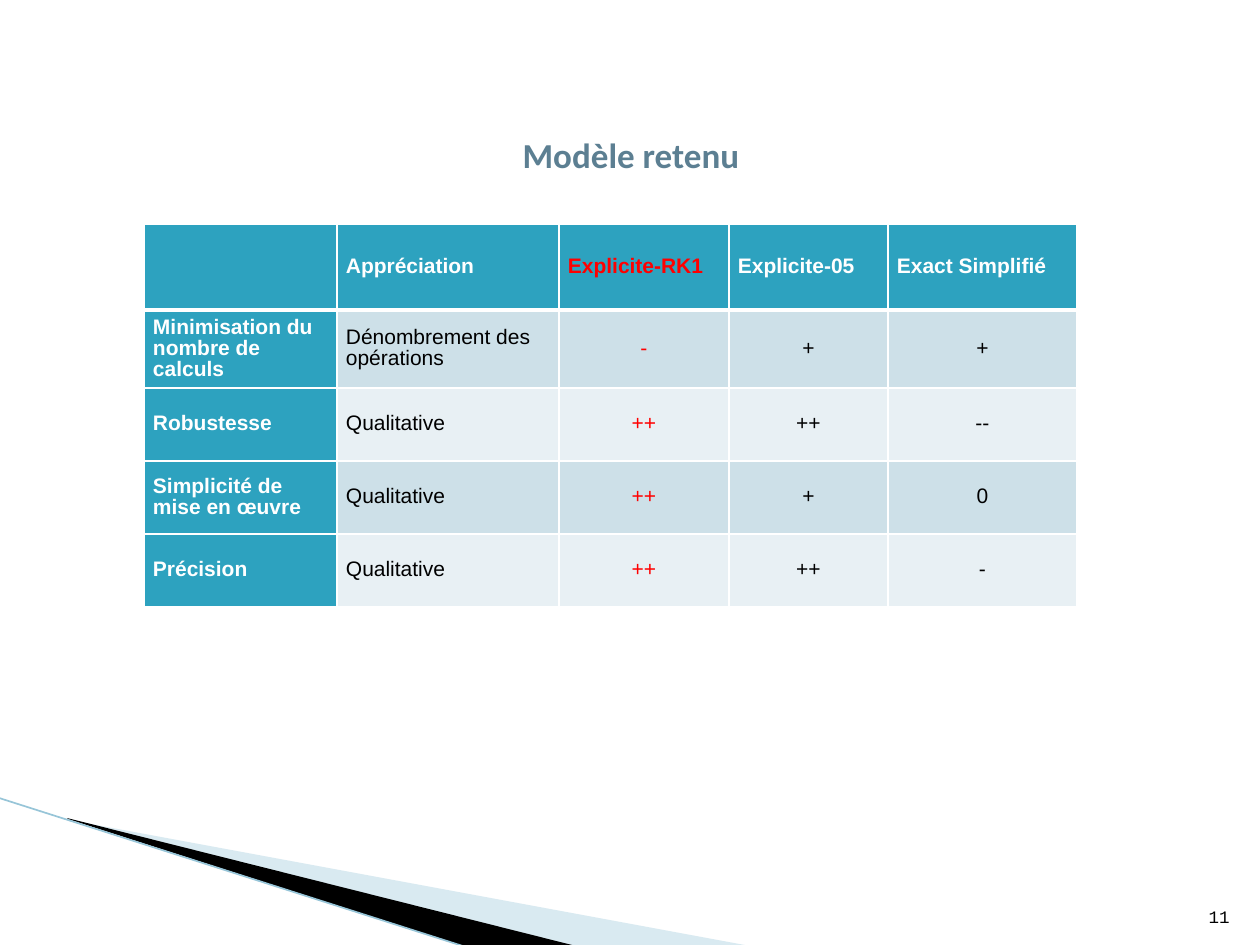
from dataclasses import dataclass

from lxml import etree
from pptx import Presentation
from pptx import util as u
from pptx.dml.color import RGBColor
from pptx.enum import shapes, text
from pptx.oxml import ns

SCALE = u.Inches(1) / 126
ALIGN = text.PP_ALIGN
ANCHOR = text.MSO_ANCHOR


@dataclass(frozen=True)
class Theme:
    title: str = "5C7F92"
    accent: str = "2DA2BF"
    bands: tuple = ("CDE0E8", "E8F0F4")
    light: str = "FFFFFF"
    dark: str = "000000"
    retained: str = "FF0000"
    wedge: str = "A0CBDC"
    edge: str = "97C5D8"
    title_size: int = 20
    table_size: int = 12
    number_size: int = 10
    title_font: str = "Calibri"
    table_font: str = "Arial"
    number_font: str = "Courier New"


def px(length):
    return u.Emu(round(length * SCALE))


def sub(parent, tag, **attributes):
    return etree.SubElement(parent, ns.qn(tag), **attributes)


class SlideBuilder:
    def __init__(self, slide, theme):
        self.slide = slide
        self.theme = theme

    def add_run(self, paragraph, words, font, size, color, bold=False):
        run = paragraph.add_run()
        run.text = words
        run.font.name = font
        run.font.size = u.Pt(size)
        run.font.bold = bold
        run.font.color.rgb = RGBColor.from_string(color)

    def add_text(self, box, words, align, anchor, **style):
        frame = self.slide.shapes.add_textbox(*map(px, box)).text_frame
        frame.word_wrap = True
        frame.vertical_anchor = anchor
        paragraph = frame.paragraphs[0]
        paragraph.alignment = align
        self.add_run(paragraph, words, **style)

    def add_wedge(self, points, color, opacity=100):
        builder = self.slide.shapes.build_freeform(*points[0], scale=SCALE)
        builder.add_line_segments(points[1:], close=True)
        shape = builder.convert_to_shape()
        shape.shadow.inherit = False
        shape.line.fill.background()
        shape.fill.solid()
        shape.fill.fore_color.rgb = RGBColor.from_string(color)
        if opacity < 100:
            rgb = shape.fill._xPr.find(".//" + ns.qn("a:srgbClr"))
            sub(rgb, "a:alpha", val=str(opacity * 1000))

    def add_line(self, start, end, color, width):
        line = self.slide.shapes.add_connector(
            shapes.MSO_CONNECTOR.STRAIGHT, *map(px, start + end))
        line.line.color.rgb = RGBColor.from_string(color)
        line.line.width = u.Pt(width)
        sub(line._element.spPr, "a:effectLst")

    def add_borders(self, cell, widths):
        properties = cell._tc.get_or_add_tcPr()
        for side, width in zip("LRTB", widths):
            border = sub(properties, f"a:ln{side}", w=str(u.Pt(width)))
            sub(sub(border, "a:solidFill"), "a:srgbClr", val=self.theme.light)

    def fill_cell(self, cell, words, row, column):
        theme = self.theme
        heading = row == 0 or column == 0
        self.add_borders(cell, (1, 1, 3 if row == 1 else 1, 3 if row == 0 else 1))
        cell.fill.solid()
        fill = theme.accent if heading else theme.bands[(row - 1) % 2]
        cell.fill.fore_color.rgb = RGBColor.from_string(fill)
        cell.vertical_anchor = ANCHOR.MIDDLE
        cell.margin_left = cell.margin_right = px(9)
        cell.margin_top = cell.margin_bottom = 0
        if not words:
            return
        paragraph = cell.text_frame.paragraphs[0]
        paragraph.line_spacing = u.Pt(12)
        paragraph.space_before = paragraph.space_after = u.Pt(3)
        if row == 0:
            paragraph.alignment = ALIGN.JUSTIFY
        else:
            paragraph.alignment = ALIGN.CENTER if column > 1 else ALIGN.LEFT
        color = theme.light if heading else theme.dark
        if column == 2:
            color = theme.retained
        self.add_run(paragraph, words, theme.table_font, theme.table_size, color, heading)

    def add_table(self, left, top, widths, heights, rows):
        table = self.slide.shapes.add_table(
            len(heights), len(widths),
            *map(px, (left, top, sum(widths), sum(heights)))).table
        for column, width in zip(table.columns, widths):
            column.width = px(width)
        for row, height in zip(table.rows, heights):
            row.height = px(height)
        for i, values in enumerate(rows):
            for j, words in enumerate(values):
                self.fill_cell(table.cell(i, j), words, i, j)


CRITERIA = [
    ("", "Appréciation", "Explicite-RK1", "Explicite-05", "Exact Simplifié"),
    ("Minimisation du nombre de calculs", "Dénombrement des opérations", "-", "+", "+"),
    ("Robustesse", "Qualitative", "++", "++", "--"),
    ("Simplicité de mise en œuvre", "Qualitative", "++", "+", "0"),
    ("Précision", "Qualitative", "++", "++", "-"),
]


def main():
    presentation = Presentation()
    presentation.slide_width, presentation.slide_height = px(1260), px(945)
    theme = Theme()
    slide = SlideBuilder(
        presentation.slides.add_slide(presentation.slide_layouts[6]), theme)
    slide.add_wedge([(69, 820), (750, 946), (575, 946), (69, 819)], theme.wedge, 40)
    slide.add_wedge([(67, 818), (576, 946), (469, 948), (68, 819)], theme.dark)
    slide.add_line((-1, 798), (469, 948), theme.edge, 0.95)
    slide.add_text((64, 76, 1134, 157), "Modèle retenu", ALIGN.CENTER, ANCHOR.MIDDLE,
                   font=theme.title_font, size=theme.title_size,
                   color=theme.title, bold=True)
    slide.add_table(144, 224, (193, 222, 170, 159, 189), (86, 78, 73, 73, 73), CRITERIA)
    slide.add_text((1192, 883, 50, 50), "11", ALIGN.RIGHT, ANCHOR.BOTTOM,
                   font=theme.number_font, size=theme.number_size, color=theme.dark)
    presentation.save("out.pptx")


if __name__ == "__main__":
    main()
